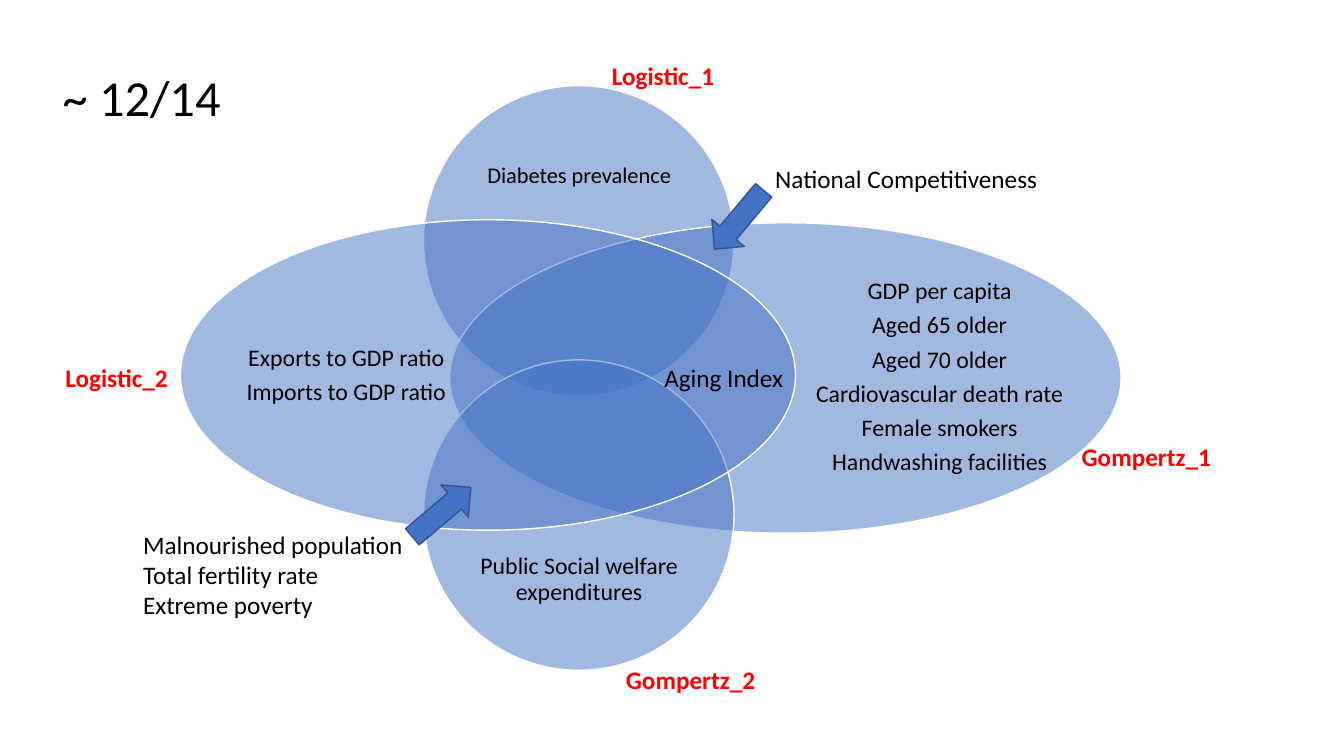
from lxml import etree
from pptx import Presentation
from pptx import util as u
from pptx.dml.color import RGBColor
from pptx.enum import shapes, text
from pptx.oxml.ns import qn

PX = 9144
COLORS = {"blue": "4472C4", "edge": "325491", "white": "FFFFFF", "red": "FF0000", "black": "000000"}


def rgb(name):
    return RGBColor.from_string(COLORS[name])


def write(sp, lines, size=18, color="black", bold=False, align=text.PP_ALIGN.LEFT,
          anchor=text.MSO_ANCHOR.TOP, wrap=False, margins=(10, 5), spacing=1.0, after=0):
    tf = sp.text_frame
    tf.word_wrap = wrap
    tf.auto_size = text.MSO_AUTO_SIZE.NONE
    tf.vertical_anchor = anchor
    tf.margin_left = tf.margin_right = margins[0] * PX
    tf.margin_top = tf.margin_bottom = margins[1] * PX
    for i, line in enumerate(lines):
        p = tf.paragraphs[0] if i == 0 else tf.add_paragraph()
        p.alignment = align
        p.line_spacing = spacing
        p.space_before = u.Pt(0)
        p.space_after = u.Pt(after)
        r = p.add_run()
        r.text = line
        r.font.name = "Calibri"
        r.font.size = u.Pt(size)
        r.font.bold = bold
        r.font.color.rgb = rgb(color)


prs = Presentation()
prs.slide_width, prs.slide_height = 1333 * PX, 750 * PX
s = prs.slides.add_slide(prs.slide_layouts[5])

title = s.shapes.title
title.left, title.top, title.width, title.height = [v * PX for v in (52, 61, 178, 71)]
write(title, ["~ 12/14"], size=36)

venn = [
    ((420, 85, 308, 308), (456, 126, 237, 98), 16, ["Diabetes prevalence"]),
    ((446, 221, 666, 308), (804, 256, 256, 237), 17,
     ["GDP per capita", "Aged 65 older", "Aged 70 older", "Cardiovascular death rate",
      "Female smokers", "Handwashing facilities"]),
    ((420, 357, 308, 308), (456, 526, 237, 98), 17, ["Public Social welfare expenditures"]),
    ((179, 218, 610, 308), (226, 254, 235, 237), 17,
     ["Exports to GDP ratio", "Imports to GDP ratio"]),
]
for oval, box, size, lines in venn:
    sp = s.shapes.add_shape(shapes.MSO_SHAPE.OVAL, *[v * PX for v in oval])
    sp.shadow.inherit = False
    sp.fill.solid()
    sp.fill.fore_color.rgb = rgb("blue")
    sp.line.color.rgb = rgb("white")
    sp.line.width = u.Pt(1)
    fill = sp.fill._xPr.find(qn("a:solidFill"))
    etree.SubElement(fill[0], qn("a:alpha")).set("val", "50000")
    label = s.shapes.add_textbox(*[v * PX for v in box])
    write(label, lines, size=size, align=text.PP_ALIGN.CENTER, anchor=text.MSO_ANCHOR.MIDDLE,
          wrap=True, margins=(0, 0), spacing=0.9, after=6)

models = [
    ("Logistic_1", 597, 55, 123),
    ("Gompertz_1", 1063, 433, 148),
    ("Gompertz_2", 611, 654, 148),
    ("Logistic_2", 55, 355, 123),
]
for name, x, y, w in models:
    write(s.shapes.add_textbox(x * PX, y * PX, w * PX, 40 * PX), [name], color="red", bold=True)

overlaps = [
    (["National Competitiveness"], 759, 157, 283, 40),
    (["Aging Index"], 649, 355, 140, 40),
    (["Malnourished population", "Total fertility rate", "Extreme poverty"], 132, 520, 281, 101),
]
for lines, *box in overlaps:
    write(s.shapes.add_textbox(*[v * PX for v in box]), lines)

for x, y, angle in [(712, 180, 39.9), (417, 470, 229.8)]:
    arrow = s.shapes.add_shape(shapes.MSO_SHAPE.DOWN_ARROW, x * PX, y * PX, 42 * PX, 76 * PX)
    arrow.rotation = angle
    arrow.shadow.inherit = False
    arrow.fill.solid()
    arrow.fill.fore_color.rgb = rgb("blue")
    arrow.line.color.rgb = rgb("edge")
    arrow.line.width = u.Pt(1)

prs.save("out.pptx")
